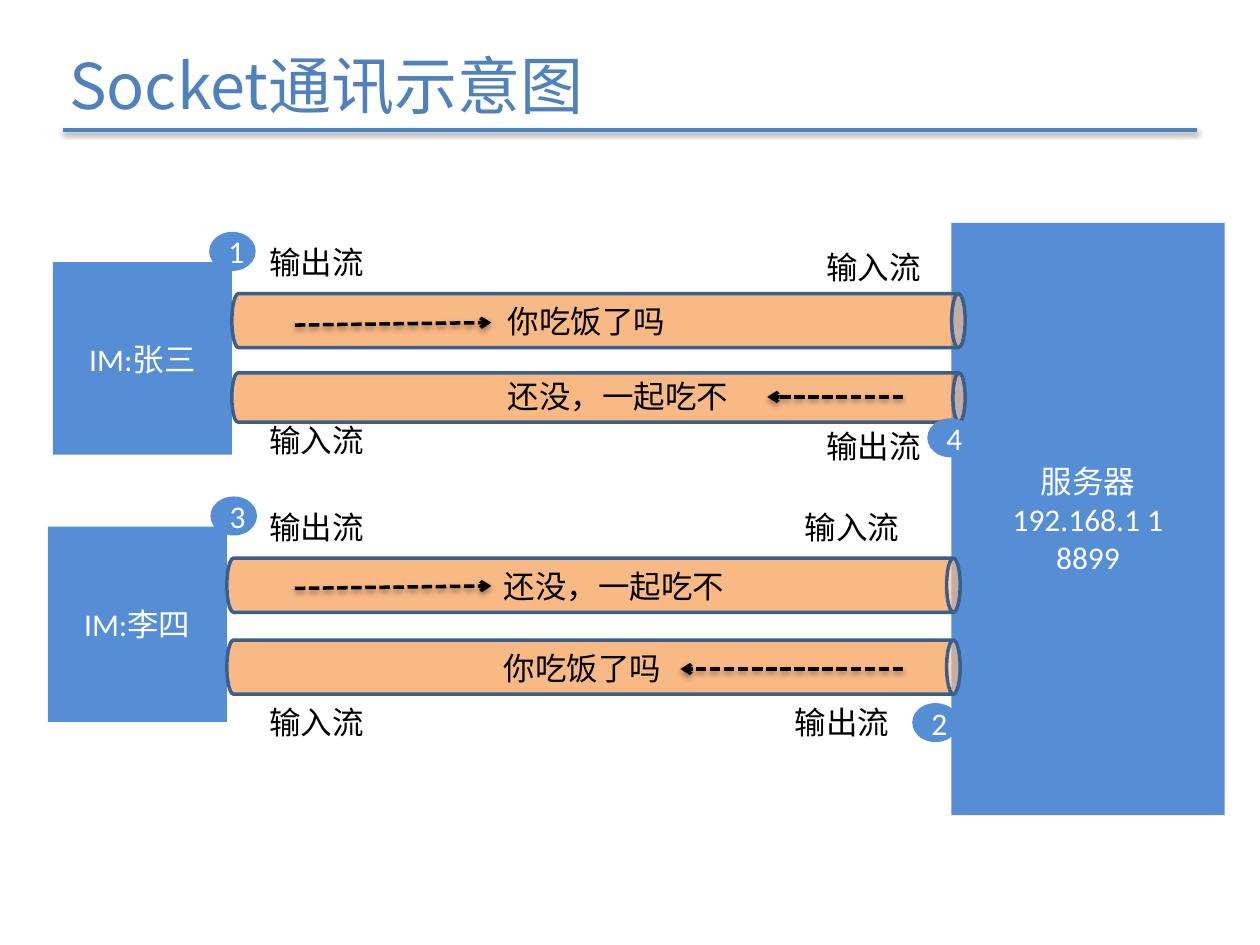
from lxml import etree
from pptx import Presentation
from pptx.dml.color import RGBColor
from pptx.enum.dml import MSO_LINE
from pptx.enum.shapes import MSO_CONNECTOR, MSO_SHAPE
from pptx.enum.text import MSO_ANCHOR, MSO_AUTO_SIZE, PP_ALIGN
from pptx.oxml import parse_xml
from pptx.oxml.ns import nsdecls, qn
from pptx.util import Inches, Pt

RECT, OVAL, CAN = MSO_SHAPE.RECTANGLE, MSO_SHAPE.OVAL, MSO_SHAPE.CAN
STRAIGHT, DASH = MSO_CONNECTOR.STRAIGHT, MSO_LINE.SQUARE_DOT
TOP, MIDDLE = MSO_ANCHOR.TOP, MSO_ANCHOR.MIDDLE
LEFT, CENTER = PP_ALIGN.LEFT, PP_ALIGN.CENTER
GROW, FIXED = MSO_AUTO_SIZE.SHAPE_TO_FIT_TEXT, MSO_AUTO_SIZE.NONE

LATIN, HAN = "Calibri", "Noto Sans CJK SC"
ACCENT, BLUE, EDGE, ORANGE = "4F81BD", "558ED5", "3A5F8C", "F79646"
WHITE, BLACK = "FFFFFF", "000000"

ASK, REPLY = "你吃饭了吗", "还没，一起吃不"
OUT, IN = "输出流", "输入流"
PIPE_LEN = 5.82

CLIENTS = [("IM:张三", 0.42, 2.08, 1.53), ("IM:李四", 0.38, 4.18, 1.55)]
# left, top, thickness
PIPES = [(1.84, 2.33, 0.43), (1.84, 2.96, 0.39),
         (1.8, 4.43, 0.43), (1.8, 5.08, 0.43)]
# text, left, top, width
LABELS = [
    (ASK, 3.93, 2.35, 1.46), (REPLY, 3.93, 2.94, 1.97),
    (REPLY, 3.9, 4.45, 1.97), (ASK, 3.9, 5.1, 1.46),
    (OUT, 2.04, 1.88, 0.96), (IN, 6.46, 1.92, 0.96),
    (IN, 2.04, 3.29, 0.96), (OUT, 6.46, 3.34, 0.96),
    (OUT, 2.04, 3.98, 0.96), (IN, 6.29, 3.98, 0.96),
    (IN, 2.04, 5.53, 0.96), (OUT, 6.21, 5.53, 0.96),
]
# start x, start y, end x, end y
ARROWS = [(2.34, 2.58, 3.9, 2.56), (7.17, 3.15, 6.09, 3.15),
          (2.34, 4.67, 3.9, 4.65), (7.17, 5.31, 5.4, 5.31)]
STEPS = [("1", 1.66, 1.84), ("2", 7.24, 5.58),
         ("3", 1.67, 3.94), ("4", 7.36, 3.32)]


def rgb(code):
    return RGBColor.from_string(code)


def write(frame, text, size=18, color=BLACK, font=LATIN, align=LEFT,
          anchor=TOP, wrap=True, fit=FIXED):
    frame.word_wrap = wrap
    frame.auto_size = fit
    frame.vertical_anchor = anchor
    for i, line in enumerate(text.split("\n")):
        para = frame.add_paragraph() if i else frame.paragraphs[0]
        para.alignment = align
        run = para.add_run()
        run.text = line
        run.font.size = Pt(size)
        run.font.name = font
        run.font.color.rgb = rgb(color)
        east = etree.SubElement(run.font._element, qn("a:ea"))
        east.set("typeface", HAN)


def add_title(slide, text):
    title = slide.shapes.title
    title.left, title.top = Inches(0.45), Inches(0.32)
    title.width, title.height = Inches(8.89), Inches(0.9)
    write(title.text_frame, text, size=36, color=ACCENT, font=HAN)


def add_block(slide, kind, left, top, width, height, fill=BLUE, text=""):
    shape = slide.shapes.add_shape(kind, Inches(left), Inches(top),
                                   Inches(width), Inches(height))
    shape.shadow.inherit = False
    shape.fill.solid()
    shape.fill.fore_color.rgb = rgb(fill)
    shape.line.fill.background()
    if text:
        write(shape.text_frame, text, color=WHITE, align=CENTER, anchor=MIDDLE)
    return shape


def add_pipe(slide, left, top, thick):
    """Lay a see-through can on its side; left and top are as it shows."""
    shift = (PIPE_LEN - thick) / 2
    pipe = add_block(slide, CAN, left + shift, top - shift, thick, PIPE_LEN,
                     fill=ORANGE)
    pipe.rotation = 90
    color = pipe._element.spPr.find(qn("a:solidFill"))[0]
    etree.SubElement(color, qn("a:alpha")).set("val", "66000")
    pipe.line.color.rgb = rgb(EDGE)
    pipe.line.width = Pt(2)


def add_label(slide, text, left, top, width):
    box = slide.shapes.add_textbox(Inches(left), Inches(top),
                                   Inches(width), Inches(0.4))
    write(box.text_frame, text, wrap=False, fit=GROW)


def add_line(slide, x1, y1, x2, y2, color):
    """Draw a straight line with a soft shadow below it."""
    line = slide.shapes.add_connector(STRAIGHT, Inches(x1), Inches(y1),
                                      Inches(x2), Inches(y2))
    line.line.color.rgb = rgb(color)
    line.line.width = Pt(2)
    line._element.spPr.append(parse_xml(
        f'<a:effectLst {nsdecls("a")}>'
        '<a:outerShdw blurRad="40000" dist="20000" dir="5400000"'
        ' rotWithShape="0"><a:srgbClr val="000000">'
        '<a:alpha val="38000"/></a:srgbClr></a:outerShdw></a:effectLst>'))
    return line


def add_arrow(slide, *ends):
    line = add_line(slide, *ends, BLACK).line
    line.dash_style = DASH
    tail = etree.SubElement(line._get_or_add_ln(), qn("a:tailEnd"))
    tail.set("type", "arrow")


def main():
    deck = Presentation()
    deck.slide_width, deck.slide_height = Inches(10), Inches(7.5)
    slide = deck.slides.add_slide(deck.slide_layouts[5])
    add_title(slide, "Socket通讯示意图")
    add_line(slide, 0.5, 1.03, 9.5, 1.03, ACCENT)
    add_block(slide, RECT, 7.55, 1.77, 2.17, 4.7,
              text="服务器\n192.168.1 1\n8899")
    for name, left, top, height in CLIENTS:
        add_block(slide, RECT, left, top, 1.42, height, text=name)
    for pipe in PIPES:
        add_pipe(slide, *pipe)
    for label in LABELS:
        add_label(slide, *label)
    for ends in ARROWS:
        add_arrow(slide, *ends)
    for step, left, top in STEPS:
        add_block(slide, OVAL, left, top, 0.37, 0.31, text=step)
    deck.save("out.pptx")


if __name__ == "__main__":
    main()
